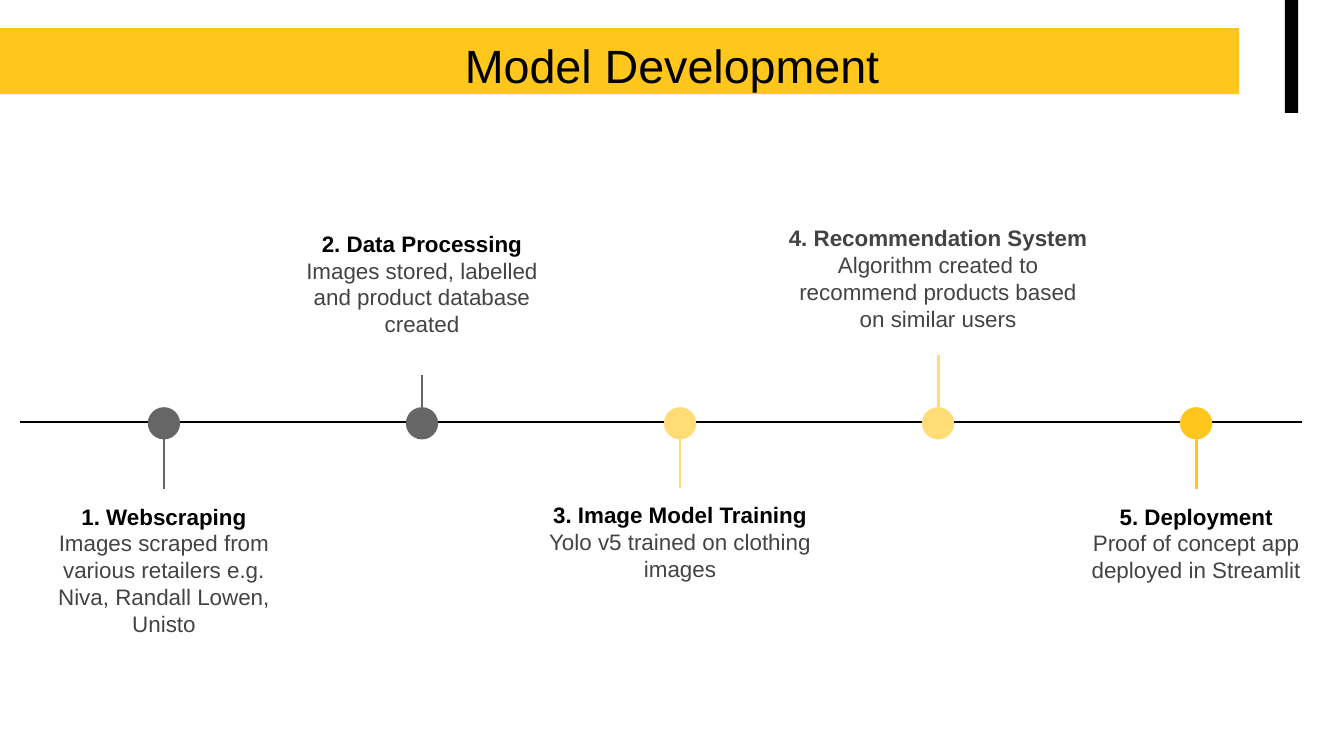
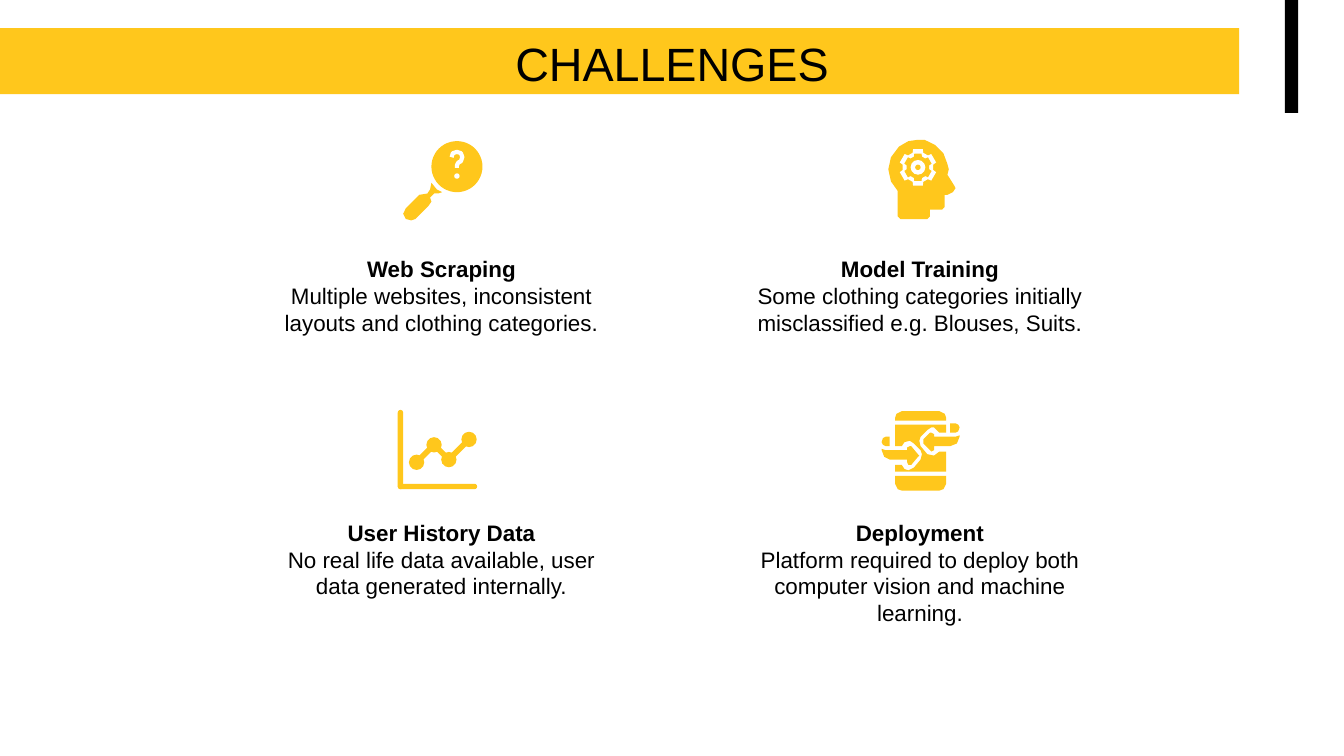
import dataclasses
import math

import lxml.etree
import pptx
import pptx.dml.color
import pptx.enum.shapes
import pptx.enum.text
import pptx.oxml.ns
import pptx.util

Inches = pptx.util.Inches
SHAPE = pptx.enum.shapes.MSO_SHAPE
STRAIGHT = pptx.enum.shapes.MSO_CONNECTOR.STRAIGHT


@dataclasses.dataclass(frozen=True)
class Theme:
    font: str = "Arial"
    title_size: float = 25
    text_size: float = 12
    line_spacing: float = 1.0
    rule_width: float = 1.5
    inset: float = 0.1
    black: str = "000000"
    white: str = "FFFFFF"
    body_gray: str = "434343"
    dot_gray: str = "666666"
    yellow: str = "FFC71C"
    pale_yellow: str = "FFDC76"


@dataclasses.dataclass(frozen=True)
class Box:
    left: float
    top: float
    width: float
    height: float

    def inner(self, left, top, width, height):
        return Box(self.left + left, self.top + top, width, height)

    def lengths(self):
        return [Inches(value) for value in (self.left, self.top, self.width, self.height)]


THEME = Theme()

STAGES = [
    ("1. Webscraping", "Images scraped from various retailers e.g. Niva, Randall Lowen, Unisto",
     THEME.dot_gray, THEME.black, 3.64, 2.12, 1.11),
    ("2. Data Processing", "Images stored, labelled and product database created",
     THEME.dot_gray, THEME.black, 1.61, 2.12, 1.18),
    ("3. Image Model Training", "Yolo v5 trained on clothing images",
     THEME.pale_yellow, THEME.black, 3.63, 2.31, 0.89),
    ("4. Recommendation System", "Algorithm created to recommend products based on similar users",
     THEME.pale_yellow, THEME.body_gray, 1.57, 2.48, 1.07),
    ("5. Deployment", "Proof of concept app deployed in Streamlit",
     THEME.yellow, THEME.black, 3.64, 2.12, 0.81),
]

HANDLE = [(21, 31), (20, 36), (18, 39), (12, 40), (2, 50), (0, 54), (2, 58), (6, 59),
          (9, 58), (19, 48), (21, 45), (20, 42), (23, 39), (26, 39), (29, 38), (25, 36)]
QUESTION_HOOK = [(36, 12), (37, 9), (40, 8), (43, 9), (44, 12), (43, 15), (41, 16),
                 (40, 18), (40, 20)]
HEAD = [(22, 0), (15, 1), (8, 5), (2, 13), (0, 22), (2, 31), (7, 38), (7, 57), (9, 59),
        (29, 59), (31, 57), (31, 52), (40, 52), (42, 50), (42, 41), (44, 41), (48, 39),
        (50, 36), (49, 34), (44, 26), (45, 22), (44, 18), (41, 10), (35, 4), (27, 0)]
TREND = [(14, 39), (27, 26), (38, 37), (53, 22)]
PHONE_PARTS = [
    [(10, 5), (11, 2), (15, 0), (43, 0), (47, 2), (48, 5), (48, 7), (10, 7)],
    [(10, 48), (48, 48), (48, 54), (46, 58), (43, 59), (15, 59), (12, 58), (10, 54)],
    [(10, 10), (10, 26), (15, 26), (17, 23), (21, 22), (24, 24), (29, 29), (30, 32),
     (29, 36), (24, 42), (20, 44), (17, 43), (15, 40), (10, 40), (10, 45), (48, 45),
     (48, 30), (43, 30), (39, 33), (34, 32), (29, 26), (28, 22), (29, 19), (34, 14),
     (37, 12), (39, 12), (43, 16), (48, 16), (48, 10)],
    [(37, 16), (36, 16), (31, 21), (31, 24), (36, 29), (37, 30), (39, 29), (39, 26),
     (51, 26), (56, 24), (58, 19), (58, 18), (55, 19), (39, 19), (39, 17)],
    [(21, 26), (19, 27), (19, 29), (3, 29), (0, 28), (0, 29), (2, 34), (6, 36), (19, 36),
     (19, 38), (20, 40), (22, 40), (27, 34), (28, 33), (27, 32), (22, 26)],
    [(51, 9), (55, 9), (57, 10), (58, 12), (57, 15), (55, 16), (51, 16)],
    [(6, 19), (3, 19), (1, 20), (0, 23), (1, 25), (3, 26), (6, 26)],
]


def color(value):
    return pptx.dml.color.RGBColor.from_string(value)


def paint(shape, fill):
    shape.shadow.inherit = False
    shape.fill.solid()
    shape.fill.fore_color.rgb = color(fill)
    shape.line.fill.background()
    return shape


def add_block(shapes, kind, box, fill):
    return paint(shapes.add_shape(kind, *box.lengths()), fill)


def add_rule(shapes, start, end, line_color, width=THEME.rule_width):
    rule = shapes.add_connector(STRAIGHT, *[Inches(value) for value in (*start, *end)])
    rule.line.color.rgb = color(line_color)
    rule.line.width = pptx.util.Pt(width)
    lxml.etree.SubElement(rule.element.spPr, pptx.oxml.ns.qn("a:effectLst"))
    return rule


def write(para, text, size, text_color, bold=False):
    para.alignment = pptx.enum.text.PP_ALIGN.CENTER
    span = para.add_run()
    span.text = text
    span.font.name = THEME.font
    span.font.size = pptx.util.Pt(size)
    span.font.bold = bold
    span.font.color.rgb = color(text_color)


def set_frame(frame, anchor):
    frame.word_wrap = True
    frame.auto_size = pptx.enum.text.MSO_AUTO_SIZE.NONE
    frame.vertical_anchor = anchor
    for side in ("left", "top", "right", "bottom"):
        setattr(frame, f"margin_{side}", Inches(THEME.inset))


def add_caption(page, box, heading, body, heading_color, body_color):
    caption = page.shapes.add_textbox(*box.lengths())
    frame = caption.text_frame
    set_frame(frame, pptx.enum.text.MSO_ANCHOR.TOP)
    write(frame.paragraphs[0], heading, THEME.text_size, heading_color, bold=True)
    write(frame.add_paragraph(), body, THEME.text_size, body_color)
    for para in frame.paragraphs:
        para.line_spacing = THEME.line_spacing
    return caption


def decorate_layout(layout, page):
    for box, fill in ((Box(0, 0.21, 9.22, 0.49), THEME.yellow),
                      (Box(9.56, 0, 0.1, 0.84), THEME.black)):
        block = add_block(page.shapes, SHAPE.RECTANGLE, box, fill)
        layout.shapes.element.append(block.element)


def add_page(deck, layout, title, title_box):
    page = deck.slides.add_slide(layout)
    holder = page.shapes.title
    holder.left, holder.top, holder.width, holder.height = title_box.lengths()
    set_frame(holder.text_frame, pptx.enum.text.MSO_ANCHOR.MIDDLE)
    write(holder.text_frame.paragraphs[0], title, THEME.title_size, THEME.black)
    return page


def add_timeline(page, box):
    axis = box.top + box.height / 2
    add_rule(page.shapes, (box.left, axis), (box.left + box.width, axis), THEME.black)
    diameter, step = 0.24, 1.92
    dot_top = axis - 0.11
    for index, (heading, body, fill, heading_color, top, width, height) in enumerate(STAGES):
        center = box.left + 1.07 + index * step
        above = top < axis
        caption = add_caption(page, Box(center - width / 2, top, width, height),
                              heading, body, heading_color, THEME.body_gray)
        edge = dot_top if above else dot_top + diameter
        stem = add_rule(page.shapes, (center, edge), (center, top), fill)
        stem.end_connect(caption, 2 if above else 0)
        add_block(page.shapes, SHAPE.OVAL,
                  Box(center - diameter / 2, dot_top, diameter, diameter), fill)


class Icon:
    def __init__(self, page, box):
        self.shapes = page.shapes.add_group_shape().shapes
        self.box = box

    def place(self, point):
        return self.box.left + point[0] / 100, self.box.top + point[1] / 100

    def block(self, kind, left, top, width, height, fill=THEME.yellow):
        box = self.box.inner(left / 100, top / 100, width / 100, height / 100)
        return add_block(self.shapes, kind, box, fill)

    def circle(self, center, radius, fill=THEME.yellow):
        self.block(SHAPE.OVAL, center[0] - radius, center[1] - radius,
                   2 * radius, 2 * radius, fill)

    def outline(self, points, fill=THEME.yellow, closed=True):
        corners = [tuple(Inches(value) for value in self.place(point)) for point in points]
        builder = self.shapes.build_freeform(*corners[0])
        builder.add_line_segments(corners[1:], close=closed)
        return paint(builder.convert_to_shape(), fill)

    def stroke(self, points, line_color, width):
        shape = self.outline(points, closed=False)
        shape.fill.background()
        shape.line.color.rgb = color(line_color)
        shape.line.width = pptx.util.Pt(width)

    def gear(self, center, tip, root, fill):
        points = []
        for tooth in range(6):
            for offset, radius in ((-20, root), (-15, tip), (15, tip), (20, root)):
                angle = math.radians(60 * tooth + offset - 90)
                points.append((center[0] + radius * math.cos(angle),
                               center[1] + radius * math.sin(angle)))
        self.outline(points, fill)


def draw_magnifier(icon):
    icon.outline(HANDLE)
    icon.circle((40, 19), 19)
    icon.stroke(QUESTION_HOOK, THEME.white, 2.25)
    icon.circle((40, 26), 2, THEME.white)


def draw_head(icon):
    center = (22, 20.5)
    icon.outline(HEAD)
    icon.gear(center, 14, 11.5, THEME.white)
    icon.gear(center, 10.5, 8.5, THEME.yellow)
    icon.circle(center, 5.5, THEME.white)
    icon.circle(center, 2)


def draw_trend(icon):
    icon.block(SHAPE.ROUNDED_RECTANGLE, 0, 0, 4, 59).adjustments[0] = 0.5
    icon.block(SHAPE.ROUNDED_RECTANGLE, 0, 55, 59, 4).adjustments[0] = 0.5
    for start, end in zip(TREND, TREND[1:]):
        add_rule(icon.shapes, icon.place(start), icon.place(end), THEME.yellow, 3)
    for point in TREND:
        icon.circle(point, 5.7)


def draw_phone(icon):
    for part in PHONE_PARTS:
        icon.outline(part)


CHALLENGES = [
    ("Web Scraping", "Multiple websites, inconsistent layouts and clothing categories.",
     draw_magnifier, 1.11, 0.01),
    ("Model Training", "Some clothing categories initially misclassified e.g. Blouses, Suits.",
     draw_head, 1.16, 0),
    ("User History Data", "No real life data available, user data generated internally.",
     draw_trend, 1.07, 0.05),
    ("Deployment", "Platform required to deploy both computer vision and machine learning.",
     draw_phone, 1.11, 0.06),
]


def add_challenges(page, box):
    for index, (heading, body, draw, icon_left, icon_top) in enumerate(CHALLENGES):
        row, column = divmod(index, 2)
        cell = box.inner(column * 3.56, row * 1.96, 2.79, 1.78)
        draw(Icon(page, cell.inner(icon_left, icon_top, 0.59, 0.59)))
        add_caption(page, cell.inner(0, 0.76, cell.width, 1.02), heading, body,
                    THEME.black, THEME.black)


def main():
    deck = pptx.Presentation()
    deck.slide_width = Inches(10)
    deck.slide_height = deck.slide_width * 9 // 16
    layout = deck.slide_layouts[5]
    development = add_page(deck, layout, "Model Development", Box(0.78, 0.21, 8.44, 0.54))
    decorate_layout(layout, development)
    add_timeline(development, Box(0.15, 1.57, 9.54, 3.14))
    challenges = add_page(deck, layout, "CHALLENGES", Box(0.78, 0.2, 8.44, 0.54))
    add_challenges(challenges, Box(1.89, 1.04, 6.35, 3.74))
    deck.save("out.pptx")


if __name__ == "__main__":
    main()
